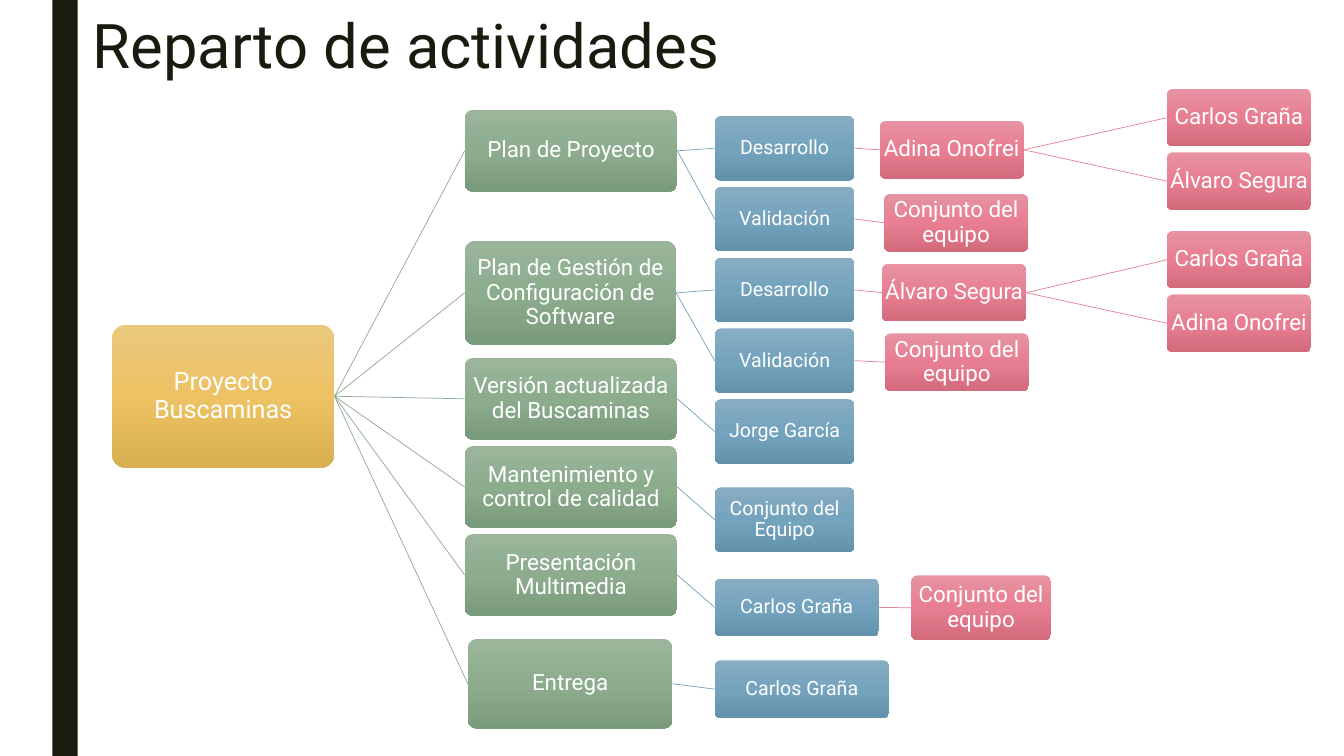
from copy import deepcopy
from lxml.etree import SubElement
from pptx import Presentation
from pptx.dml.color import RGBColor
from pptx.enum.shapes import MSO_CONNECTOR as Link, MSO_SHAPE as Form
from pptx.enum.text import MSO_ANCHOR as Anchor, MSO_AUTO_SIZE as Fit, PP_ALIGN as Align
from pptx.oxml.ns import qn
from pptx.util import Cm, Pt

FONT = "Roboto"
DARK = RGBColor(0x19, 0x1B, 0x0E)
WHITE = RGBColor(0xFF, 0xFF, 0xFF)
GOLD = RGBColor(0xEA, 0xC8, 0x7E), RGBColor(0xEC, 0xC2, 0x63), RGBColor(0xD9, 0xB0, 0x51)
GREEN = RGBColor(0x9B, 0xB5, 0x9B), RGBColor(0x8C, 0xAC, 0x8D), RGBColor(0x7A, 0x9B, 0x7B)
BLUE = RGBColor(0x88, 0xAD, 0xC3), RGBColor(0x74, 0xA3, 0xBE), RGBColor(0x63, 0x92, 0xAD)
PINK = RGBColor(0xE7, 0x93, 0xA2), RGBColor(0xE7, 0x7E, 0x91), RGBColor(0xD3, 0x6B, 0x7D)
MOSS = RGBColor(0x8D, 0xAB, 0x8E)
STEEL = RGBColor(0x77, 0xA2, 0xBB)
ROSE = RGBColor(0xE2, 0x83, 0x94)

LEVELS = [
    (GOLD, None, 18),
    (GREEN, MOSS, 16),
    (BLUE, STEEL, 14),
    (PINK, ROSE, 16),
    (PINK, ROSE, 16),
]

ROOT = (5.61, 3.61)
TASK = (5.36, 2.06)
STEP = (3.53, 1.63)
NAME = (3.63, 1.45)
COL = 11.71
MID = 18.01
END = 29.41
ROW = 2.22
GAP = 1.785
TOP = 2.92
LOW = 9.02

TITLE = "Reparto de actividades"
TREE = ("Proyecto Buscaminas", 2.82, 8.18, ROOT, [
    ("Plan de Proyecto", COL, 2.77, TASK, [
        ("Desarrollo", MID, TOP, STEP, [
            ("Adina Onofrei", 22.17, 3.05, NAME, [
                ("Carlos Graña", END, 2.24, NAME, []),
                ("Álvaro Segura", END, 3.84, NAME, []),
            ]),
        ]),
        ("Validación", MID, TOP + GAP, STEP, [
            ("Conjunto del equipo", 22.28, 4.89, NAME, []),
        ]),
    ]),
    ("Plan de Gestión de Configuración de Software", COL, 6.07, (5.33, 2.62), [
        ("Desarrollo", MID, TOP + 2 * GAP, STEP, [
            ("Álvaro Segura", 22.23, 6.65, NAME, [
                ("Carlos Graña", END, 5.82, NAME, []),
                ("Adina Onofrei", END, 7.42, NAME, []),
            ]),
        ]),
        ("Validación", MID, TOP + 3 * GAP, STEP, [
            ("Conjunto del equipo", 22.3, 8.4, NAME, []),
        ]),
    ]),
    ("Versión actualizada del Buscaminas", COL, LOW, TASK, [
        ("Jorge García", MID, TOP + 4 * GAP, STEP, []),
    ]),
    ("Mantenimiento y control de calidad", COL, LOW + ROW, TASK, [
        ("Conjunto del Equipo", MID, 12.28, STEP, []),
    ]),
    ("Presentación Multimedia", COL, LOW + 2 * ROW, TASK, [
        ("Carlos Graña", MID, 14.58, (4.14, 1.45), [
            ("Conjunto del equipo", 22.96, 14.5, STEP, []),
        ]),
    ]),
    ("Entrega", 11.79, 16.1, (5.16, 2.26), [
        ("Carlos Graña", MID, 16.64, (4.4, 1.45), []),
    ]),
])


def write(frame, text, size, color, align, space):
    para = frame.paragraphs[0]
    para.alignment = align
    para.line_spacing = space
    run = para.add_run()
    run.text = text
    run.font.name = FONT
    run.font.size = Pt(size)
    run.font.color.rgb = color


def shade(shape, tones):
    fill = shape.fill
    fill.gradient()
    fill.gradient_angle = 270
    stops = shape.element.spPr.find(qn("a:gradFill")).find(qn("a:gsLst"))
    stops.append(deepcopy(stops[-1]))
    for stop, tone, place in zip(fill.gradient_stops, tones, (0, 0.5, 1)):
        stop.color.rgb = tone
        stop.position = place


def add_box(shapes, text, left, top, size, tones, points):
    box = shapes.add_shape(Form.ROUNDED_RECTANGLE, Cm(left), Cm(top), *map(Cm, size))
    box.adjustments[0] = 0.1
    box.shadow.inherit = False
    box.line.fill.background()
    shade(box, tones)
    frame = box.text_frame
    frame.word_wrap = True
    frame.vertical_anchor = Anchor.MIDDLE
    frame.margin_left = frame.margin_right = Cm(0.03)
    frame.margin_top = frame.margin_bottom = Cm(0.03)
    write(frame, text, points, WHITE, Align.CENTER, 0.9)


def add_link(shapes, start, end, color):
    link = shapes.add_connector(Link.STRAIGHT, *map(Cm, start + end))
    link.line.color.rgb = color
    link.line.width = Pt(0.5)
    SubElement(link.element.spPr, qn("a:effectLst"))


def add_node(shapes, node, depth=0, start=None):
    text, left, top, size, kids = node
    tones, color, points = LEVELS[depth]
    wide, high = size
    mid = top + high / 2
    if start:
        add_link(shapes, start, (left, mid), color)
    add_box(shapes, text, left, top, size, tones, points)
    for kid in kids:
        add_node(shapes, kid, depth + 1, (left + wide, mid))


def main():
    deck = Presentation()
    deck.slide_width, deck.slide_height = Cm(33.87), Cm(19.05)
    slide = deck.slides.add_slide(deck.slide_layouts[5])
    shapes = slide.shapes

    title = shapes.title
    title.left, title.top, title.width, title.height = map(Cm, (2.08, 0.28, 26.67, 4.11))
    frame = title.text_frame
    frame.auto_size = Fit.NONE
    frame.word_wrap = True
    frame.vertical_anchor = Anchor.TOP
    write(frame, TITLE, 44, DARK, Align.LEFT, 0.89)

    bar = shapes.add_shape(Form.RECTANGLE, Cm(1.32), 0, Cm(0.64), deck.slide_height)
    bar.shadow.inherit = False
    bar.fill.solid()
    bar.fill.fore_color.rgb = DARK
    bar.line.fill.background()

    add_node(shapes, TREE)
    deck.save("out.pptx")


if __name__ == "__main__":
    main()
